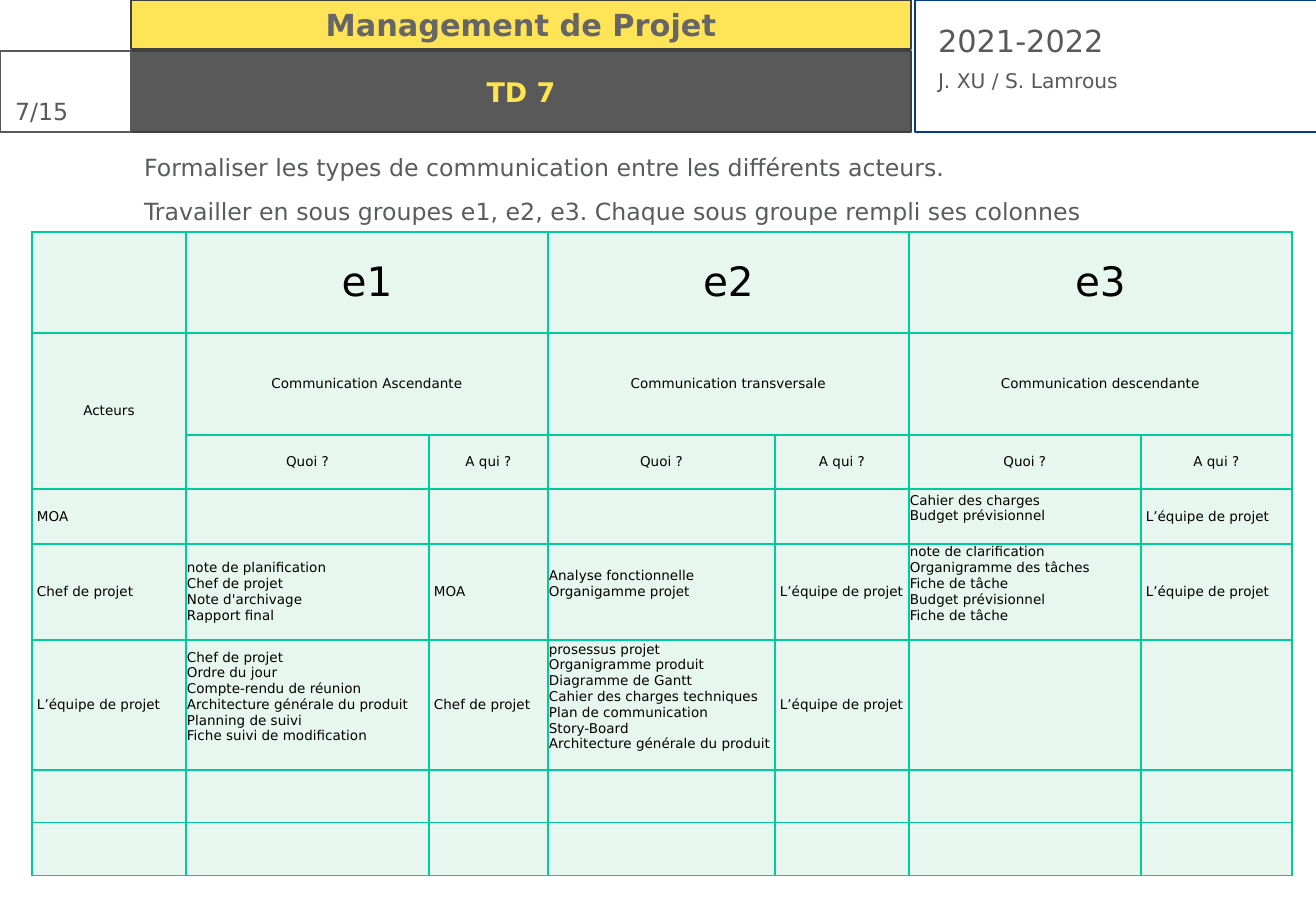
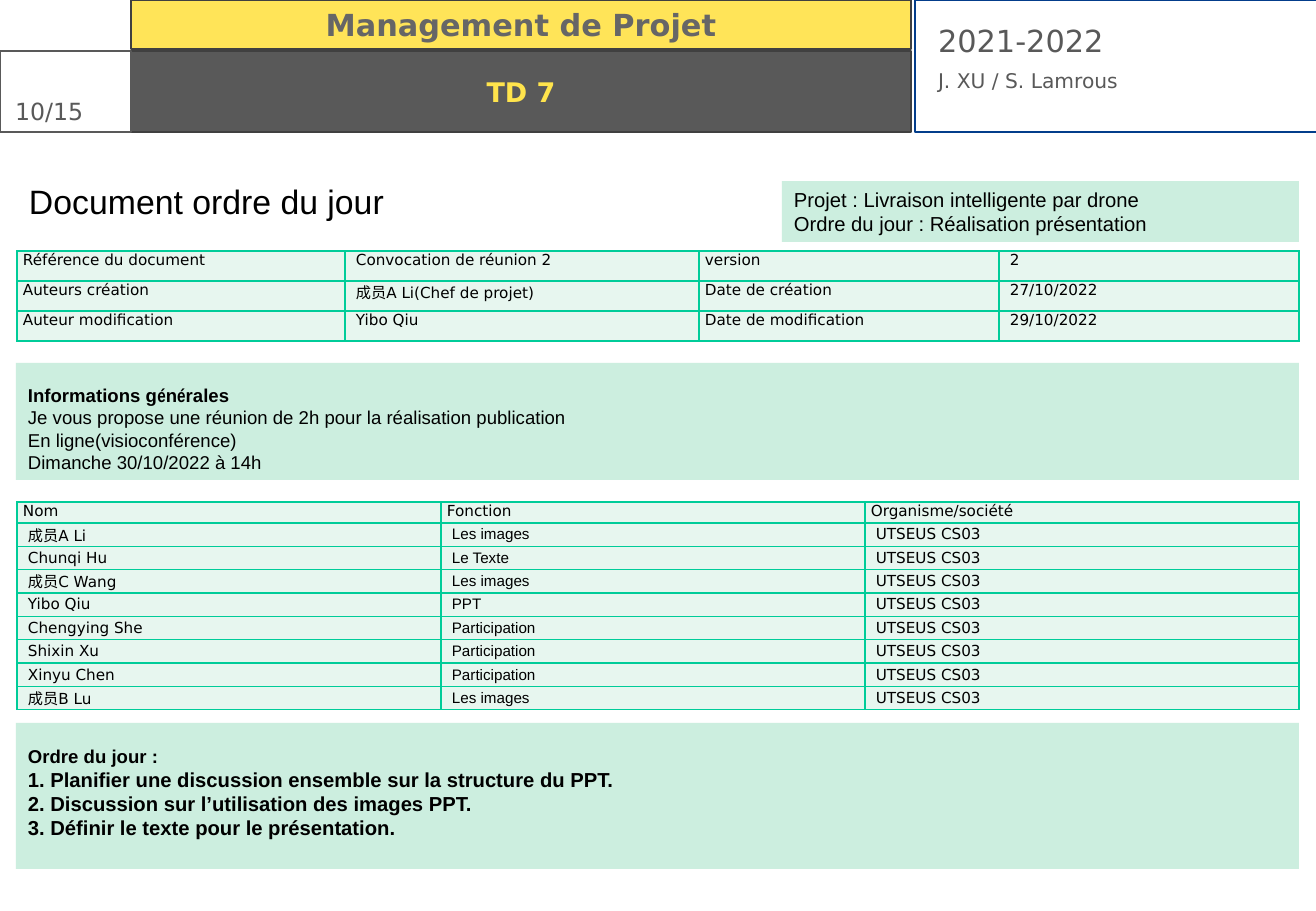
"""Build two project management slides: a communication table and a meeting agenda."""
from lxml import etree
from pptx import Presentation
from pptx.dml.color import RGBColor
from pptx.enum.shapes import MSO_SHAPE
from pptx.enum.text import MSO_ANCHOR, MSO_AUTO_SIZE, PP_ALIGN
from pptx.oxml.ns import qn
from pptx.util import Pt

PX = 7526
RECTANGLE = MSO_SHAPE.RECTANGLE
TOP, MIDDLE = MSO_ANCHOR.TOP, MSO_ANCHOR.MIDDLE
LEFT, CENTER = PP_ALIGN.LEFT, PP_ALIGN.CENTER
NO_AUTOFIT = MSO_AUTO_SIZE.NONE
SANS, ARIAL, NARROW = "DejaVu Sans", "Arial", "Arial Narrow"
BLACK, GREY, BODY_GREY, HEADING_GREY = "000000", "595959", "5A5B5E", "666666"
YELLOW, PALE_YELLOW, DARK, NAVY = "FFD912", "FFE44C", "404040", "033D8B"
MINT, PALE_MINT, GREEN = "CCEEDF", "E7F6EF", "00CC99"
color = RGBColor.from_string


def write(frame, lines, size, ink=BLACK, font=SANS, bold=False, align=LEFT):
    """Fill a text frame with one paragraph per line and return the paragraphs."""
    for index, line in enumerate(lines):
        para = frame.paragraphs[0] if index == 0 else frame.add_paragraph()
        para.text = line
        para.alignment = align
        para.font.size = Pt(size)
        para.font.name = font
        para.font.bold = bold
        para.font.color.rgb = color(ink)
    return frame.paragraphs


def add_box(page, place, fill=None, line=None, width=0.75, anchor=TOP, insets=(12, 6, 12, 6)):
    """Add a rectangle, or format an existing placeholder when page is one."""
    left, top, wide, high = [length * PX for length in place]
    if hasattr(page, "shapes"):
        box = page.shapes.add_shape(RECTANGLE, left, top, wide, high)
        box.shadow.inherit = False
    else:
        box = page
        box.left, box.top, box.width, box.height = left, top, wide, high
    if fill:
        box.fill.solid()
        box.fill.fore_color.rgb = color(fill)
    else:
        box.fill.background()
    if line:
        box.line.color.rgb = color(line)
        box.line.width = Pt(width)
    else:
        box.line.fill.background()
    frame = box.text_frame
    frame.auto_size = NO_AUTOFIT
    frame.word_wrap = True
    frame.vertical_anchor = anchor
    (frame.margin_left, frame.margin_top,
     frame.margin_right, frame.margin_bottom) = [inset * PX for inset in insets]
    return box


deck = Presentation()
deck.slide_width, deck.slide_height = 1316 * PX, 911 * PX
communication = deck.slides.add_slide(deck.slide_layouts[1])
agenda = deck.slides.add_slide(deck.slide_layouts[5])

for page, number in ((communication, "7/15"), (agenda, "10/15")):
    add_box(page, (915, 0, 402, 132), line=NAVY, width=1.5)
    course = add_box(page, (926, 16, 385, 84))
    year, teachers = write(course.text_frame, ["2021-2022", "J. XU / S. Lamrous"], 18, GREY)
    year.space_after = Pt(6)
    teachers.font.size = Pt(12)
    band = add_box(page, (131, 0, 780, 49), YELLOW, DARK, anchor=MIDDLE)
    band_color = band._element.spPr.find(".//" + qn("a:srgbClr"))
    etree.SubElement(band_color, qn("a:alpha"), val="70000")
    write(band.text_frame, ["Management de Projet"], 18, HEADING_GREY, bold=True, align=CENTER)
    counter = add_box(page, (0, 91, 131, 41), insets=(15, 6, 0, 6))
    write(counter.text_frame, [number], 14, GREY)
    add_box(page, (0, 51, 131, 81), line=GREY)
    title = add_box(page.shapes.title, (131, 51, 780, 81), GREY, DARK, anchor=MIDDLE)
    write(title.text_frame, ["TD 7"], 16, PALE_YELLOW, bold=True, align=CENTER)

body = add_box(communication.placeholders[1], (129, 151, 1063, 63), insets=(15, 2, 15, 0))
instructions = write(body.text_frame, [
    "Formaliser les types de communication entre les différents acteurs.",
    "Travailler en sous groupes e1, e2, e3. Chaque sous groupe rempli ses colonnes",
], 14, BODY_GREY)
for index, para in enumerate(instructions):
    properties = para._p.get_or_add_pPr()
    properties.set("marL", "0")
    properties.set("indent", "0")
    properties.insert(0, etree.Element(qn("a:buNone")))
    para.space_before = Pt(3 * index)
    para.space_after = Pt(6)

team = "L’équipe de projet"
communication_rows = [
    ["", "e1", "", "e2", "", "e3", ""],
    ["Acteurs", "Communication Ascendante", "", "Communication transversale", "",
     "Communication descendante", ""],
    [""] + ["Quoi ?", "A qui ?"] * 3,
    ["MOA", "", "", "", "", "Cahier des charges\nBudget prévisionnel", team],
    ["Chef de projet",
     "note de planification\nChef de projet\nNote d'archivage\nRapport final", "MOA",
     "Analyse fonctionnelle\nOrganigamme projet", team,
     "note de clarification\nOrganigramme des tâches\nFiche de tâche\n"
     "Budget prévisionnel\nFiche de tâche", team],
    [team,
     "Chef de projet\nOrdre du jour\nCompte-rendu de réunion\n"
     "Architecture générale du produit\nPlanning de suivi\nFiche suivi de modification",
     "Chef de projet",
     "prosessus projet\nOrganigramme produit\nDiagramme de Gantt\n"
     "Cahier des charges techniques\nPlan de communication\nStory-Board\n"
     "Architecture générale du produit", team, "", ""],
    [""] * 7,
    [""] * 7,
]
document_rows = [
    ["Référence du document", "Convocation de réunion 2", "version", "2"],
    ["Auteurs création", "成员A Li(Chef de projet)", "Date de création", "27/10/2022"],
    ["Auteur modification", "Yibo Qiu", "Date de modification", "29/10/2022"],
]
members = [
    ("成员A Li", "Les images"), ("Chunqi Hu", "Le Texte"), ("成员C Wang", "Les images"),
    ("Yibo Qiu", "PPT"), ("Chengying She", "Participation"), ("Shixin Xu", "Participation"),
    ("Xinyu Chen", "Participation"), ("成员B Lu", "Les images"),
]
member_rows = [["Nom", "Fonction", "Organisme/société"]]
member_rows += [[name, role, "UTSEUS CS03"] for name, role in members]

tables = []
for page, left, top, widths, heights, rows, size, indent in (
    (communication, 32, 232, [154, 243, 119, 227, 134, 232, 151],
     [101, 102, 54, 55, 96, 130, 53, 53], communication_rows, 8, 5),
    (agenda, 17, 251, [328, 354, 300, 300], [30] * 3, document_rows, 9, 11),
    (agenda, 17, 502, [424, 424, 434], [21] + [187 / 8] * 8, member_rows, 9, 11),
):
    table = page.shapes.add_table(len(rows), len(widths), left * PX, top * PX,
                                  sum(widths) * PX, int(sum(heights) * PX)).table
    table.first_row = table.horz_banding = False
    for column, width in zip(table.columns, widths):
        column.width = width * PX
    for row, height, texts in zip(table.rows, heights, rows):
        row.height = int(height * PX)
        for cell, text in zip(row.cells, texts):
            cell.margin_left = (1 if "\n" in text else indent) * PX
            cell.margin_right = PX
            cell.margin_top = cell.margin_bottom = 0
            cell.vertical_anchor = MIDDLE
            cell.fill.solid()
            cell.fill.fore_color.rgb = color(PALE_MINT)
            write(cell.text_frame, text.split("\n"), size)
            for index, side in enumerate(("lnL", "lnR", "lnT", "lnB")):
                border = etree.Element(qn("a:" + side), w=str(Pt(1)))
                paint = etree.SubElement(border, qn("a:solidFill"))
                etree.SubElement(paint, qn("a:srgbClr"), val=GREEN)
                cell._tc.get_or_add_tcPr().insert(index, border)
    tables.append(table)
communication_table, document_table, member_table = tables

for row in range(3):
    for column in range(7):
        cell = communication_table.cell(row, column)
        cell.margin_left = PX
        para = cell.text_frame.paragraphs[0]
        para.alignment = CENTER
        para.font.size = Pt(24 if row == 0 else 8)
for row in range(2):
    for column in (1, 3, 5):
        communication_table.cell(row, column).merge(communication_table.cell(row, column + 1))
communication_table.cell(1, 0).merge(communication_table.cell(2, 0))
for row, column in ((3, 5), (4, 3), (4, 5), (5, 1), (5, 3)):
    communication_table.cell(row, column).margin_bottom = 16 * PX

for row in range(3):
    for column in range(4):
        cell = document_table.cell(row, column)
        cell.vertical_anchor = TOP
        cell.margin_left = (11 if column % 2 else 6) * PX
for column in range(3):
    cell = member_table.cell(0, column)
    cell.vertical_anchor = TOP
    cell.margin_left = 6 * PX
for row in range(1, len(member_rows)):
    member_table.cell(row, 1).text_frame.paragraphs[0].font.name = ARIAL

information = add_box(agenda, (16, 363, 1283, 117), MINT, anchor=MIDDLE, insets=(12, 21, 12, 7))
heading = write(information.text_frame, [
    "",
    "Je vous propose une réunion de 2h pour la réalisation publication",
    "En ligne(visioconférence)",
    "Dimanche 30/10/2022 à 14h",
], 11, font=ARIAL)[0]
heading.font.bold = True
for text in ("Informations g", "é", "n", "é", "rales"):
    span = heading.add_run()
    span.text = text
    span.font.name = NARROW if text == "é" else ARIAL

project = add_box(agenda, (782, 181, 517, 61), MINT)
write(project.text_frame, [
    "Projet : Livraison intelligente par drone",
    "Ordre du jour : Réalisation présentation",
], 12, font=ARIAL)

topics = add_box(agenda, (16, 723, 1283, 146), MINT, anchor=MIDDLE, insets=(12, 21, 12, 28))
heading = write(topics.text_frame, [
    "Ordre du jour :",
    "1. Planifier une discussion ensemble sur la structure du PPT.",
    "2. Discussion sur l’utilisation des images PPT.",
    "3. Définir le texte pour le présentation.",
], 12, font=ARIAL, bold=True)[0]
heading.font.size = Pt(11)

subject = add_box(agenda, (17, 175, 383, 53))
write(subject.text_frame, ["Document ordre du jour"], 20, font=ARIAL)

deck.save("out.pptx")
